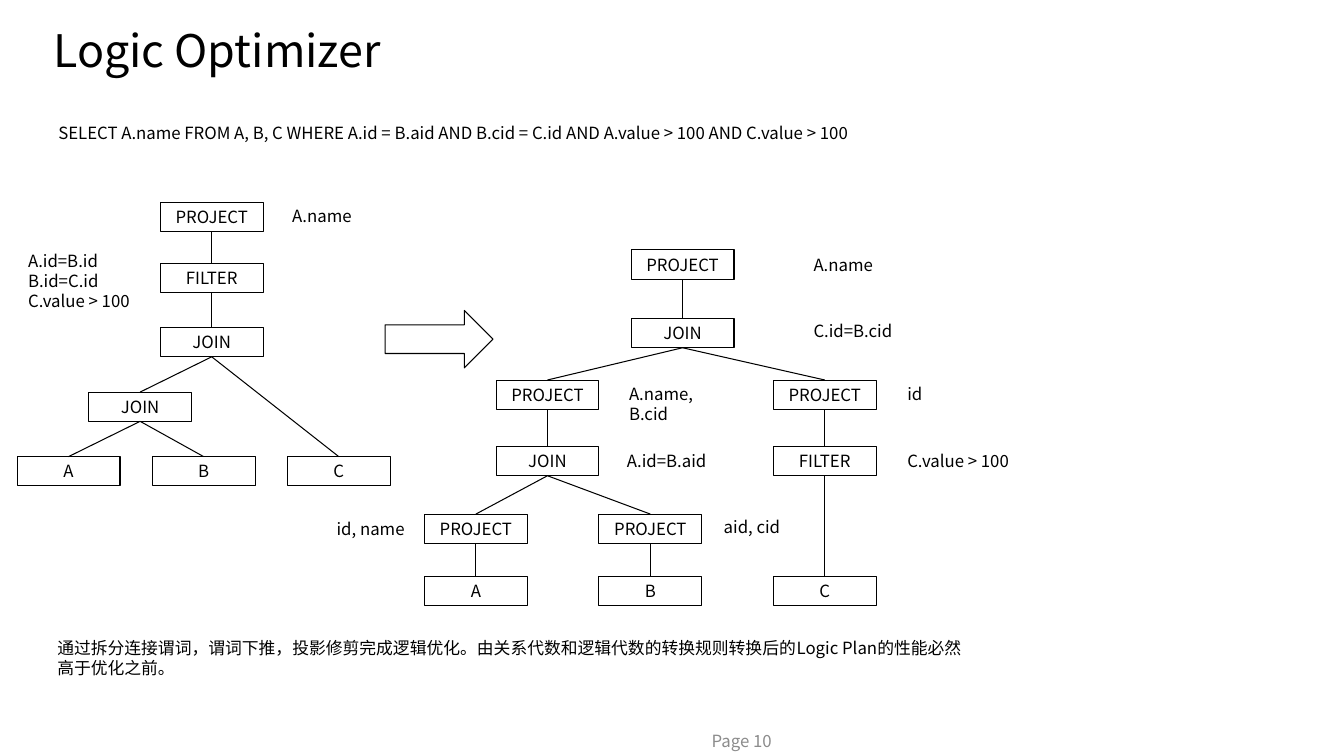
from dataclasses import dataclass

from lxml import etree
from pptx import Presentation
from pptx.dml.color import RGBColor
from pptx.enum.shapes import MSO_CONNECTOR, MSO_SHAPE
from pptx.enum.text import MSO_ANCHOR, PP_ALIGN
from pptx.oxml.ns import qn
from pptx.util import Inches, Pt

PROCESS = MSO_SHAPE.FLOWCHART_PROCESS
RIGHT_ARROW = MSO_SHAPE.RIGHT_ARROW
STRAIGHT = MSO_CONNECTOR.STRAIGHT
MIDDLE, TOP = MSO_ANCHOR.MIDDLE, MSO_ANCHOR.TOP
CENTER, LEFT = PP_ALIGN.CENTER, PP_ALIGN.LEFT
BOTTOM_SITE, TOP_SITE = 2, 0


@dataclass(frozen=True)
class Theme:
    font: str = "Noto Sans CJK SC"
    ink: RGBColor = RGBColor(0, 0, 0)
    muted: RGBColor = RGBColor(0x8C, 0x8C, 0x8C)
    title: int = 32
    body: int = 12
    stroke: float = 0.75


@dataclass(frozen=True)
class Plan:
    columns: tuple
    rows: tuple
    operators: dict
    edges: tuple
    labels: tuple


THEME = Theme()
NODE_W, NODE_H = 1.02, 0.29
LINE_H, PADDING = 0.2, 0.1

INITIAL_PLAN = Plan(
    columns=(0.68, 1.39, 2.02, 2.1, 3.36),
    rows=tuple(2.61 + 0.64 * step for step in range(4)) + (2.01,),
    operators={
        "project": ("PROJECT", 3, 4),
        "filter": ("FILTER", 3, 0),
        "join": ("JOIN", 3, 1),
        "join AB": ("JOIN", 1, 2),
        "A": ("A", 0, 3),
        "B": ("B", 2, 3),
        "C": ("C", 4, 3),
    },
    edges=(
        ("project", "filter"), ("filter", "join"), ("join", "join AB"),
        ("join AB", "A"), ("join AB", "B"), ("join", "C"),
    ),
    labels=(
        (("A.name",), 2.8, 4, 0.81, -0.02),
        (("A.id=B.id", "B.id=C.id", "C.value > 100"), 0.18, 0, 1.29, -0.17),
    ),
)

OPTIMIZED_PLAN = Plan(
    columns=(4.72, 5.43, 6.45, 6.77, 8.18),
    rows=(2.48, 3.16, 3.77, 4.43, 5.1, 5.72),
    operators={
        "project": ("PROJECT", 3, 0),
        "join": ("JOIN", 3, 1),
        "project AB": ("PROJECT", 1, 2),
        "project C": ("PROJECT", 4, 2),
        "join AB": ("JOIN", 1, 3),
        "filter C": ("FILTER", 4, 3),
        "project A": ("PROJECT", 0, 4),
        "project B": ("PROJECT", 2, 4),
        "A": ("A", 0, 5),
        "B": ("B", 2, 5),
        "C": ("C", 4, 5),
    },
    edges=(
        ("project", "join"), ("join", "project AB"), ("join", "project C"),
        ("project AB", "join AB"), ("join AB", "project A"),
        ("join AB", "project B"), ("project A", "A"), ("project B", "B"),
        ("project C", "filter C"), ("filter C", "C"),
    ),
    labels=(
        (("A.name",), 7.97, 0, 0.81, 0),
        (("C.id=B.cid",), 7.97, 1, 1.01, -0.03),
        (("A.name,", "B.cid"), 6.14, 2, 0.85, -0.01),
        (("id",), 8.9, 2, 0.35, -0.01),
        (("A.id=B.aid",), 6.12, 3, 1.03, -0.01),
        (("C.value > 100",), 8.9, 3, 1.29, -0.01),
        (("id, name",), 3.24, 4, 0.89, 0),
        (("aid, cid",), 7.08, 4, 0.77, -0.02),
    ),
)


def inches(*lengths):
    return [Inches(length) for length in lengths]


def write(frame, lines, size=THEME.body, color=THEME.ink, align=LEFT, spacing=None):
    for index, line in enumerate(lines):
        paragraph = frame.add_paragraph() if index else frame.paragraphs[0]
        paragraph.alignment = align
        if spacing:
            paragraph.line_spacing = spacing
        run = paragraph.add_run()
        run.text = line
        run.font.size = Pt(size)
        run.font.color.rgb = color
        run.font.name = THEME.font
        east_asian = etree.SubElement(run.font._element, qn("a:ea"))
        east_asian.set("typeface", THEME.font)


def add_text(slide, lines, area, wrap=True, anchor=TOP, **style):
    frame = slide.shapes.add_textbox(*inches(*area)).text_frame
    frame.word_wrap = wrap
    frame.vertical_anchor = anchor
    write(frame, lines, **style)


def add_outline(slide, preset, area):
    outline = slide.shapes.add_shape(preset, *inches(*area))
    outline.shadow.inherit = False
    outline.fill.background()
    outline.line.color.rgb = THEME.ink
    outline.line.width = Pt(THEME.stroke)
    return outline


def add_operator(slide, caption, center, top):
    node = add_outline(slide, PROCESS, (center - NODE_W / 2, top, NODE_W, NODE_H))
    frame = node.text_frame
    frame.margin_left = frame.margin_right = Inches(0.09)
    frame.margin_top = frame.margin_bottom = Inches(0.04)
    write(frame, [caption], align=CENTER)
    return node


def add_edge(slide, parent, child):
    edge = slide.shapes.add_connector(STRAIGHT, 0, 0, 0, 0)
    edge.begin_connect(parent, BOTTOM_SITE)
    edge.end_connect(child, TOP_SITE)
    edge.line.color.rgb = THEME.ink
    edge.line.width = Pt(THEME.stroke)
    etree.SubElement(edge._element.spPr, qn("a:effectLst"))


def add_plan(slide, plan):
    nodes = {
        key: add_operator(slide, caption, plan.columns[column], plan.rows[row])
        for key, (caption, column, row) in plan.operators.items()
    }
    for parent, child in plan.edges:
        add_edge(slide, nodes[parent], nodes[child])
    for lines, left, row, width, shift in plan.labels:
        height = PADDING + LINE_H * len(lines)
        add_text(slide, lines, (left, plan.rows[row] + shift, width, height), wrap=False)


def main():
    deck = Presentation()
    deck.slide_width, deck.slide_height = inches(13.33, 7.5)
    slide = deck.slides.add_slide(deck.slide_layouts[6])

    add_text(slide, ["Logic Optimizer"], (0.43, 0.05, 8.47, 0.95),
             anchor=MIDDLE, size=THEME.title, spacing=0.9)
    add_text(slide, ["SELECT A.name FROM A, B, C WHERE A.id = B.aid AND B.cid = C.id "
                     "AND A.value > 100 AND C.value > 100"], (0.48, 1.17, 9.17, 0.3))
    add_plan(slide, INITIAL_PLAN)
    add_outline(slide, RIGHT_ARROW, (3.82, 3.08, 1.07, 0.57))
    add_plan(slide, OPTIMIZED_PLAN)
    add_text(slide, ["通过拆分连接谓词，谓词下推，投影修剪完成逻辑优化。由关系代数和逻辑代数的"
                     "转换规则转换后的Logic Plan的性能必然高于优化之前。"], (0.47, 6.28, 9.17, 0.5))
    add_text(slide, ["Page 10"], (6.96, 7.1, 2.29, 0.5), anchor=MIDDLE, color=THEME.muted)

    deck.save("out.pptx")


main()
